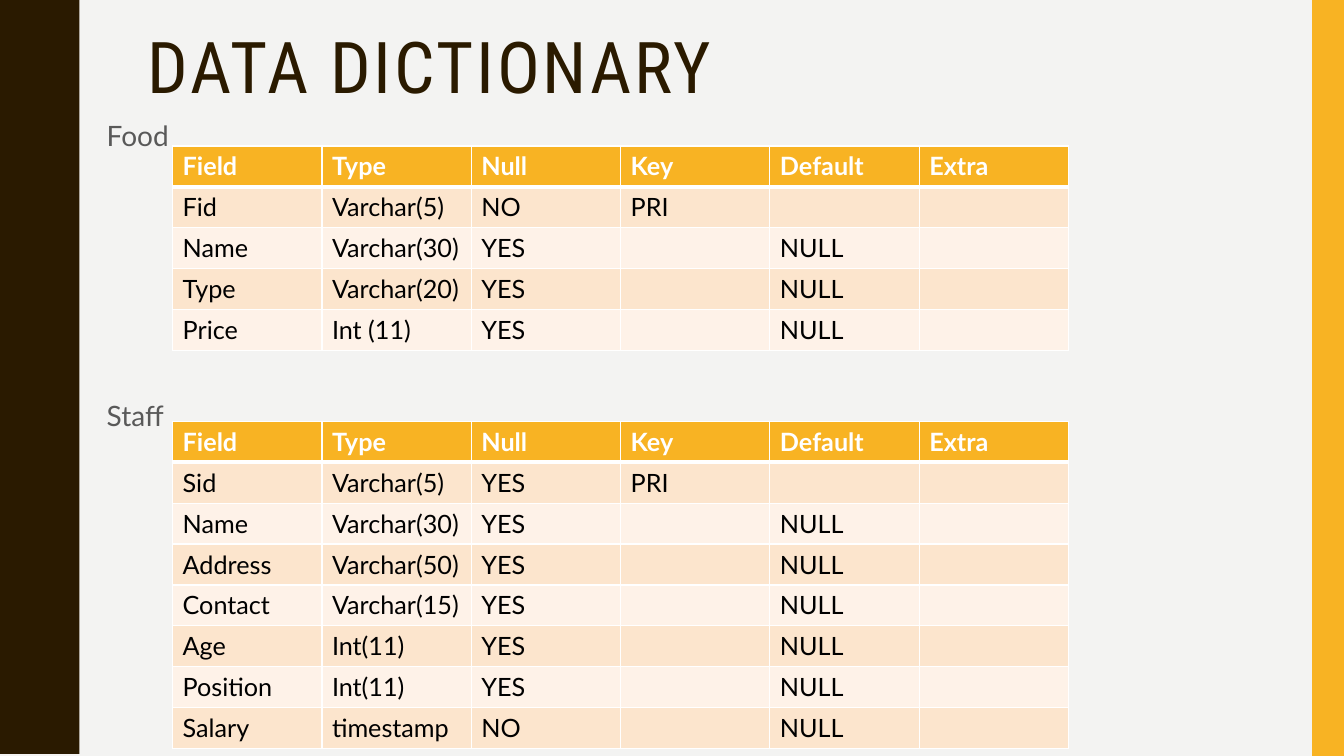
from math import cos, pi

from lxml.etree import SubElement
from pptx import Presentation
from pptx.dml.color import RGBColor
from pptx.enum.shapes import MSO_SHAPE as Shape
from pptx.enum.text import MSO_ANCHOR as Anchor
from pptx.oxml import parse_xml
from pptx.oxml.ns import nsdecls, qn
from pptx.util import Cm, Pt

COLORS = {
    "background": "F3F3F2", "wave": "2A1A00", "accent": "F8B323",
    "label": "595959", "header": "FFFFFF", "text": "000000",
    "border": "FFFFFF", "odd": "FCE5CD", "even": "FEF2E8",
}
WIDTH, HEIGHT = 33.87, 19.05
TABLE_LEFT, TABLE_WIDTH, ROW_HEIGHT = 4.35, 22.58, 1.03
HEADINGS = ("Field", "Type", "Null", "Key", "Default", "Extra")
FOOD = [
    ("Fid", "Varchar(5)", "NO", "PRI", "", ""),
    ("Name", "Varchar(30)", "YES", "", "NULL", ""),
    ("Type", "Varchar(20)", "YES", "", "NULL", ""),
    ("Price", "Int (11)", "YES", "", "NULL", ""),
]
STAFF = [
    ("Sid", "Varchar(5)", "YES", "PRI", "", ""),
    ("Name", "Varchar(30)", "YES", "", "NULL", ""),
    ("Address", "Varchar(50)", "YES", "", "NULL", ""),
    ("Contact", "Varchar(15)", "YES", "", "NULL", ""),
    ("Age", "Int(11)", "YES", "", "NULL", ""),
    ("Position", "Int(11)", "YES", "", "NULL", ""),
    ("Salary", "timestamp", "NO", "", "NULL", ""),
]


class Painter:
    """Draws styled elements on the current slide."""

    def __init__(self, page):
        self.page = page
        self.heading_font, self.body_font = "Roboto Condensed", "Lato"
        self.paint(page.background.fill, "background")

    def paint(self, fill, color):
        fill.solid()
        fill.fore_color.rgb = RGBColor.from_string(COLORS[color])

    def finish(self, shape, color):
        self.paint(shape.fill, color)
        shape.line.fill.background()
        shape.shadow.inherit = False

    def bar(self, left, top, width, height, color):
        shape = self.page.shapes.add_shape(
            Shape.RECTANGLE, Cm(left), Cm(top), Cm(width), Cm(height))
        self.finish(shape, color)

    def wave(self, middle, period, color, steps=100):
        builder = self.page.shapes.build_freeform(0, 0, scale=Cm(1))
        edge = []
        for step in range(steps + 1):
            y = HEIGHT * step / steps
            angle = 2 * pi * y / period
            edge.append((middle - 0.27 * cos(angle) + 0.03 * cos(3 * angle), y))
        builder.add_line_segments(edge + [(0, HEIGHT)], close=True)
        self.finish(builder.convert_to_shape(), color)

    def span(self, para, text, size, color, font=None, bold=False):
        span = para.add_run()
        span.text = text
        span.font.name = font or self.body_font
        span.font.size = Pt(size)
        span.font.bold = bold
        span.font.color.rgb = RGBColor.from_string(COLORS[color])
        return span

    def box(self, left, top, width, height):
        box = self.page.shapes.add_textbox(Cm(left), Cm(top), Cm(width), Cm(height))
        box.text_frame.word_wrap = True
        box.text_frame.vertical_anchor = Anchor.TOP
        return box.text_frame

    def title(self, text, *place):
        para = self.box(*place).paragraphs[0]
        para.line_spacing = 0.9
        span = self.span(para, text, 51, "wave", self.heading_font)
        span.font._element.set("spc", "200")

    def labels(self, entries, *place):
        frame = self.box(*place)
        for index, (text, gap) in enumerate(entries):
            para = frame.add_paragraph() if index else frame.paragraphs[0]
            para.line_spacing = 1.1
            para.space_before = Pt(gap)
            self.span(para, text, 20, "label")

    def borders(self, cell, bottom):
        properties = cell._tc.get_or_add_tcPr()
        widths = {"lnL": 1, "lnR": 1, "lnT": 1, "lnB": bottom}
        for index, (side, width) in enumerate(widths.items()):
            line = parse_xml(f'<a:{side} {nsdecls("a")} w="{Pt(width)}"/>')
            fill = SubElement(line, qn("a:solidFill"))
            SubElement(fill, qn("a:srgbClr"), val=COLORS["border"])
            properties.insert(index, line)

    def table(self, top, records):
        rows = [HEADINGS, *records]
        table = self.page.shapes.add_table(
            len(rows), len(HEADINGS), Cm(TABLE_LEFT), Cm(top),
            Cm(TABLE_WIDTH), Cm(ROW_HEIGHT * len(rows))).table
        for column in table.columns:
            column.width = Cm(TABLE_WIDTH / len(HEADINGS))
        for row, values in enumerate(rows):
            table.rows[row].height = Cm(ROW_HEIGHT)
            header = row == 0
            fill = "accent" if header else "odd" if row % 2 else "even"
            for column, text in enumerate(values):
                cell = table.cell(row, column)
                self.paint(cell.fill, fill)
                self.borders(cell, 3 if header else 1)
                if text:
                    self.span(cell.text_frame.paragraphs[0], text, 18,
                              "header" if header else "text", bold=header)


deck = Presentation()
deck.slide_width, deck.slide_height = Cm(WIDTH), Cm(HEIGHT)
painter = Painter(deck.slides.add_slide(deck.slide_layouts[6]))
painter.wave(2.22, HEIGHT / 5, "wave")
painter.bar(33.07, 0, 0.8, HEIGHT, "accent")
painter.title("DATA DICTIONARY", 3.48, 0.69, 28.27, 4.14)
painter.labels([("Food", 7), ("Staff", 174)], 2.44, 2.77, 30.33, 15.7)
painter.table(3.68, FOOD)
painter.table(10.62, STAFF)
deck.save("out.pptx")
